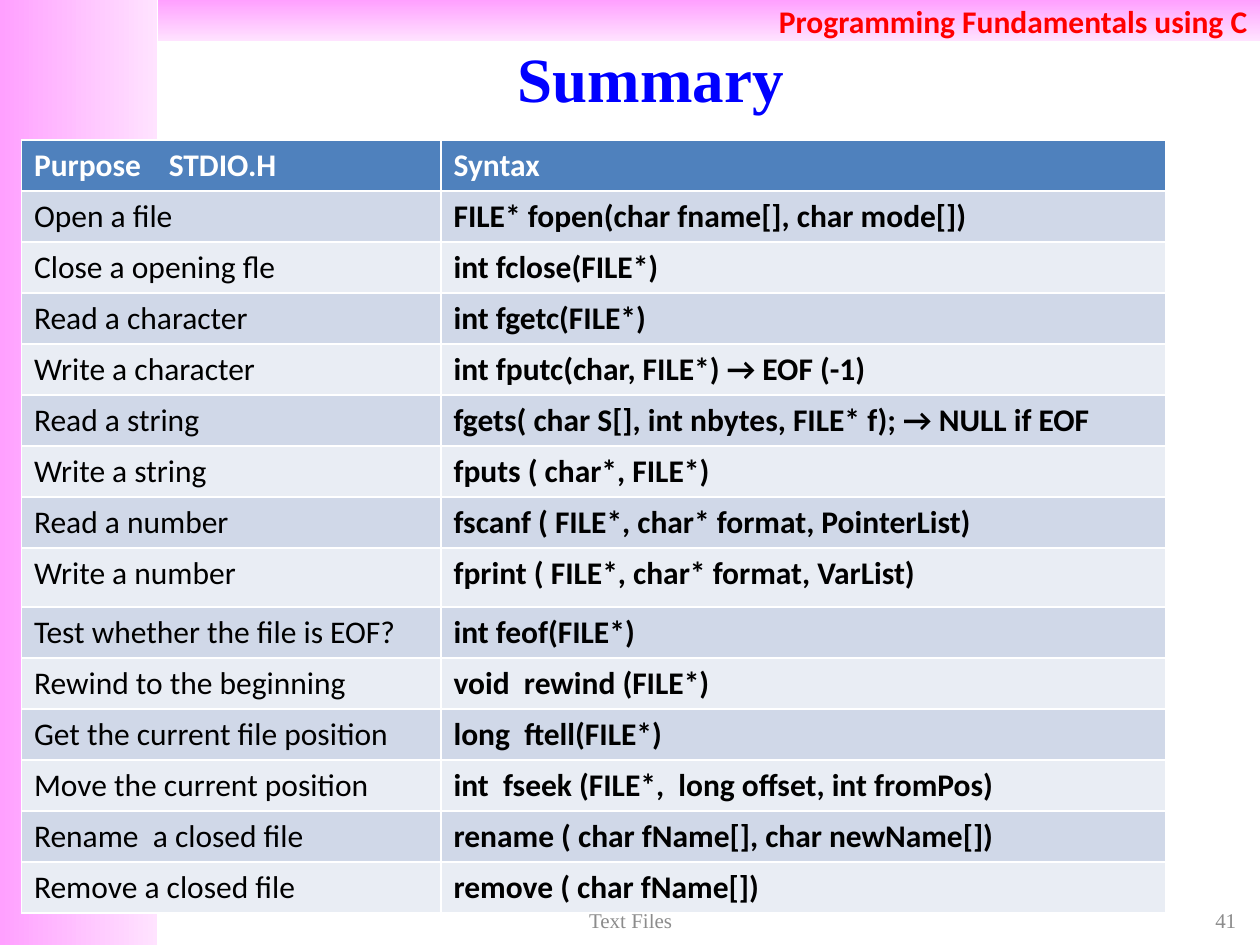
from lxml import etree
from pptx import Presentation
from pptx.dml.color import RGBColor
from pptx.enum.shapes import MSO_SHAPE
from pptx.enum.text import MSO_ANCHOR, PP_ALIGN
from pptx.oxml.ns import qn
from pptx.util import Inches, Pt

RECT = MSO_SHAPE.RECTANGLE
LEFT, MID, RIGHT = PP_ALIGN.LEFT, PP_ALIGN.CENTER, PP_ALIGN.RIGHT
TOP, HALF = MSO_ANCHOR.TOP, MSO_ANCHOR.MIDDLE
SERIF = "Times New Roman"


def tint(code):
    return RGBColor.from_string(code)


def write(frame, text, size=18, font="Calibri", color="000000",
          bold=False, align=LEFT, anchor=HALF):
    frame.word_wrap = True
    frame.vertical_anchor = anchor
    para = frame.paragraphs[0]
    para.alignment = align
    run = para.add_run()
    run.text = text
    run.font.size = Pt(size)
    run.font.name = font
    run.font.bold = bold
    run.font.color.rgb = tint(color)
    return para


deck = Presentation()
deck.slide_width, deck.slide_height = Inches(10), Inches(7.5)
slide = deck.slides.add_slide(deck.slide_layouts[6])
shapes = slide.shapes

bands = [(0, 0, 1.25, 7.5, 0), (1.25, 0, 8.75, 0.33, 270)]
for *box, angle in bands:
    band = shapes.add_shape(RECT, *map(Inches, box))
    band.shadow.inherit = False
    band.line.fill.background()
    band.fill.gradient()
    band.fill.gradient_angle = angle
    for stop, code in zip(band.fill.gradient_stops, ("FFA0FF", "FFE3FF")):
        stop.color.rgb = tint(code)
write(band.text_frame, "Programming Fundamentals using C",
      color="FF0000", bold=True, align=RIGHT)

gray = dict(size=12, font=SERIF, color="8C8C8C")
labels = [
    ("Summary", (0.83, 0.3, 8.67, 0.62),
     dict(size=36, font=SERIF, color="0000FF", bold=True, align=MID)),
    ("41", (7.58, 7.17, 2.33, 0.27), dict(gray, align=RIGHT)),
    ("Text Files", (3.42, 7.17, 3.17, 0.27), dict(gray, align=MID)),
]
for text, box, look in labels:
    label = shapes.add_textbox(*map(Inches, box))
    write(label.text_frame, text, **look)

rows = [
    ("Purpose\tSTDIO.H", "Syntax"),
    ("Open a file", "FILE* fopen(char fname[], char mode[])"),
    ("Close a opening fle", "int fclose(FILE*)"),
    ("Read a character", "int fgetc(FILE*)"),
    ("Write a character", "int fputc(char, FILE*) → EOF (-1)"),
    ("Read a string", "fgets( char S[], int nbytes, FILE* f); → NULL if EOF"),
    ("Write a string", "fputs ( char*, FILE*)"),
    ("Read a number", "fscanf ( FILE*, char* format, PointerList)"),
    ("Write a number", "fprint ( FILE*, char* format, VarList)"),
    ("Test whether the file is EOF?", "int feof(FILE*)"),
    ("Rewind to the beginning", "void  rewind (FILE*)"),
    ("Get the current file position", "long  ftell(FILE*)"),
    ("Move the current position", "int  fseek (FILE*,  long offset, int fromPos)"),
    ("Rename  a closed file", "rename ( char fName[], char newName[])"),
    ("Remove a closed file", "remove ( char fName[])"),
]
grid = shapes.add_table(len(rows), 2, Inches(0.17), Inches(1.11),
                        Inches(9.08), Inches(6.14)).table
for col, width in zip(grid.columns, (3.33, 5.75)):
    col.width = Inches(width)
for r, row in enumerate(rows):
    head = r == 0
    grid.rows[r].height = Inches(0.47 if r == 8 else 0.405)
    for c, text in enumerate(row):
        cell = grid.cell(r, c)
        cell.fill.solid()
        shade = "4F81BD" if head else ("E9EDF4", "D0D8E8")[r % 2]
        cell.fill.fore_color.rgb = tint(shade)
        para = write(cell.text_frame, text, bold=head or c == 1, anchor=TOP,
                     color="FFFFFF" if head else "000000")
        if "\t" in text:
            props = para._p.get_or_add_pPr()
            tabs = etree.SubElement(props, qn("a:tabLst"))
            etree.SubElement(tabs, qn("a:tab"), pos=str(Inches(1.07)), algn="l")

deck.save("out.pptx")
